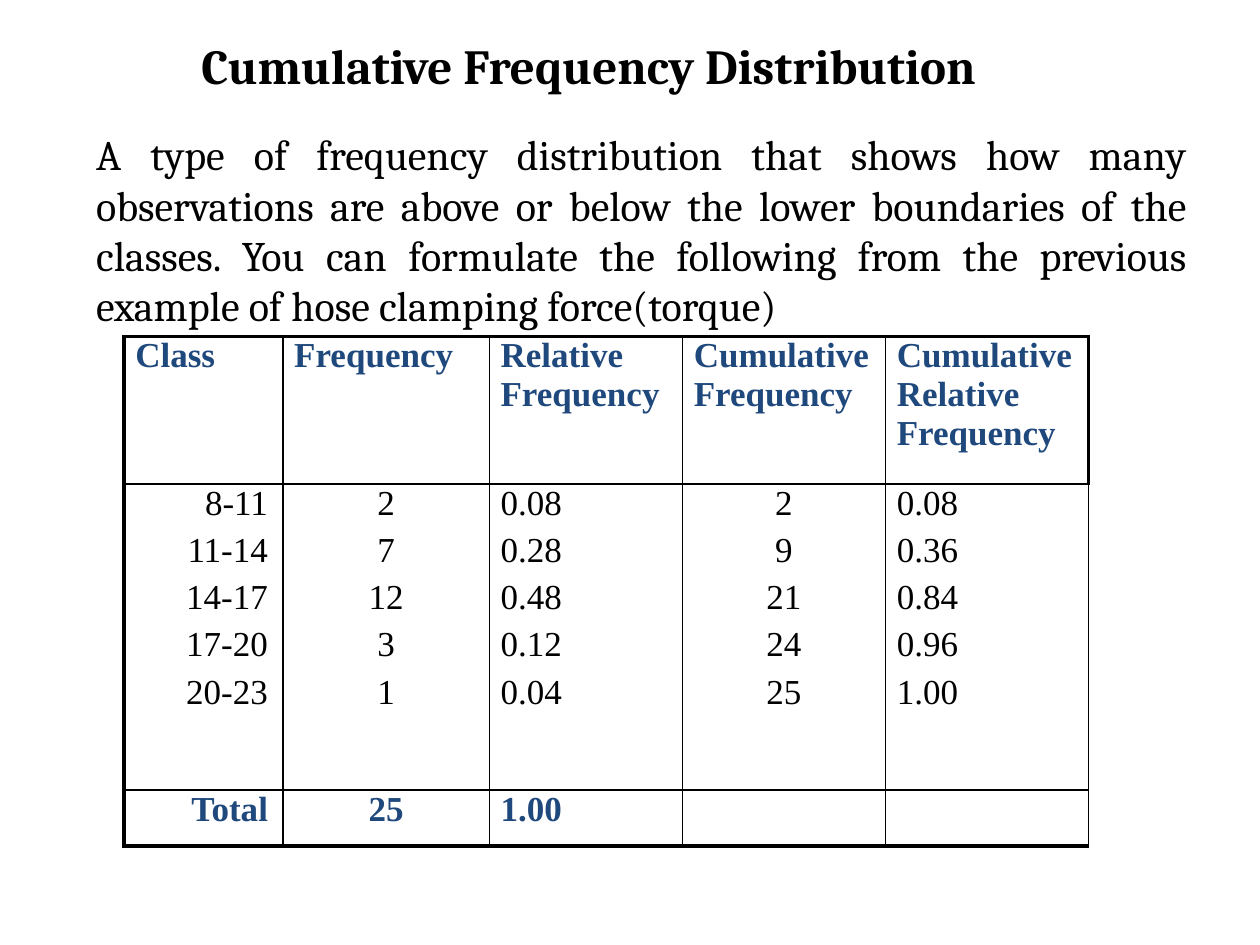
from lxml.etree import SubElement
from pptx import Presentation
from pptx.dml.color import RGBColor
from pptx.enum.text import MSO_ANCHOR, MSO_AUTO_SIZE, PP_ALIGN
from pptx.oxml.ns import qn
from pptx.util import Pt


def color(hex_code):
    return RGBColor.from_string(hex_code)


class SlideBuilder:
    black = "000000"
    accent = "1F487C"
    prose_font = "Cambria"
    table_font = "Times New Roman"
    thin, thick = 1, 2.25

    def __init__(self, slide):
        self.slide = slide

    def style(self, paragraph, font_name, size, hex_code, bold, align):
        paragraph.alignment = align
        font = paragraph.font
        font.name, font.size, font.bold = font_name, Pt(size), bold
        font.color.rgb = color(hex_code)

    def fill_frame(self, frame, text, size, bold, align):
        frame.margin_left = frame.margin_right = Pt(0)
        frame.margin_top = frame.margin_bottom = Pt(0)
        frame.word_wrap = True
        frame.auto_size = MSO_AUTO_SIZE.NONE
        frame.vertical_anchor = MSO_ANCHOR.TOP
        frame.text = text
        self.style(frame.paragraphs[0], self.prose_font, size, self.black, bold, align)

    def title(self, text, left, top, width, height):
        heading = self.slide.shapes.title
        heading.left, heading.top = Pt(left), Pt(top)
        heading.width, heading.height = Pt(width), Pt(height)
        self.fill_frame(heading.text_frame, text, 28, True, PP_ALIGN.LEFT)

    def text(self, text, left, top, width, height):
        box = self.slide.shapes.add_textbox(Pt(left), Pt(top), Pt(width), Pt(height))
        self.fill_frame(box.text_frame, text, 24, False, PP_ALIGN.JUSTIFY)

    def borders(self, cell, widths):
        properties = cell._tc.get_or_add_tcPr()
        for side, width in widths.items():
            line = SubElement(properties, qn(f"a:ln{side}"), w=str(int(Pt(width))))
            fill = SubElement(line, qn("a:solidFill"))
            SubElement(fill, qn("a:srgbClr"), val=self.black)

    def cell(self, cell, text, align, emphasized):
        centered = align == PP_ALIGN.CENTER
        cell.margin_left = Pt(0 if centered else 6.5)
        cell.margin_right = Pt(8.5 if align == PP_ALIGN.RIGHT else 0)
        cell.margin_top = cell.margin_bottom = Pt(0)
        cell.fill.background()
        cell.text = text
        hex_code = self.accent if emphasized else self.black
        for index, paragraph in enumerate(cell.text_frame.paragraphs):
            self.style(paragraph, self.table_font, 20, hex_code, emphasized, align)
            paragraph.space_before = Pt(4.8 if index else 0)

    def table(self, rows, alignments, left, top, widths, heights):
        frame = self.slide.shapes.add_table(
            len(rows), len(widths), Pt(left), Pt(top), Pt(sum(widths)), Pt(sum(heights)))
        table = frame.table
        table.first_row = table.horz_banding = False
        for column, width in zip(table.columns, widths):
            column.width = Pt(width)
        for row, height in zip(table.rows, heights):
            row.height = Pt(height)
        last_row, last_column = len(rows) - 1, len(widths) - 1
        for r, texts in enumerate(rows):
            for c, text in enumerate(texts):
                cell = table.cell(r, c)
                header = r == 0
                self.borders(cell, {
                    "L": self.thick if c == 0 else self.thin,
                    "R": self.thick if header and c == last_column else self.thin,
                    "T": self.thick if header else self.thin,
                    "B": self.thick if r == last_row else self.thin,
                })
                align = PP_ALIGN.LEFT if header else alignments[c]
                self.cell(cell, text, align, r in (0, last_row))


def main():
    presentation = Presentation()
    presentation.slide_width, presentation.slide_height = Pt(720), Pt(540)
    builder = SlideBuilder(presentation.slides.add_slide(presentation.slide_layouts[5]))

    builder.title("Cumulative Frequency Distribution", 115, 20, 461, 28)
    builder.text(
        "A type of frequency distribution that shows how many observations are above "
        "or below the lower boundaries of the classes. You can formulate the following "
        "from the previous example of hose clamping force(torque)",
        55, 73.5, 623, 110)

    headers = ["Class", "Frequency", "Relative Frequency", "Cumulative Frequency",
               "Cumulative Relative Frequency"]
    classes = [
        ("8-11", "2", "0.08", "2", "0.08"),
        ("11-14", "7", "0.28", "9", "0.36"),
        ("14-17", "12", "0.48", "21", "0.84"),
        ("17-20", "3", "0.12", "24", "0.96"),
        ("20-23", "1", "0.04", "25", "1.00"),
    ]
    distribution = ["\n".join(values) for values in zip(*classes)]
    totals = ["Total", "25", "1.00", "", ""]
    alignments = [PP_ALIGN.RIGHT, PP_ALIGN.CENTER, PP_ALIGN.LEFT,
                  PP_ALIGN.CENTER, PP_ALIGN.LEFT]
    builder.table([headers, distribution, totals], alignments, 70.8, 192.2,
                  [90.8, 118, 110.4, 116, 116], [84.4, 175, 32])

    presentation.save("out.pptx")


if __name__ == "__main__":
    main()
